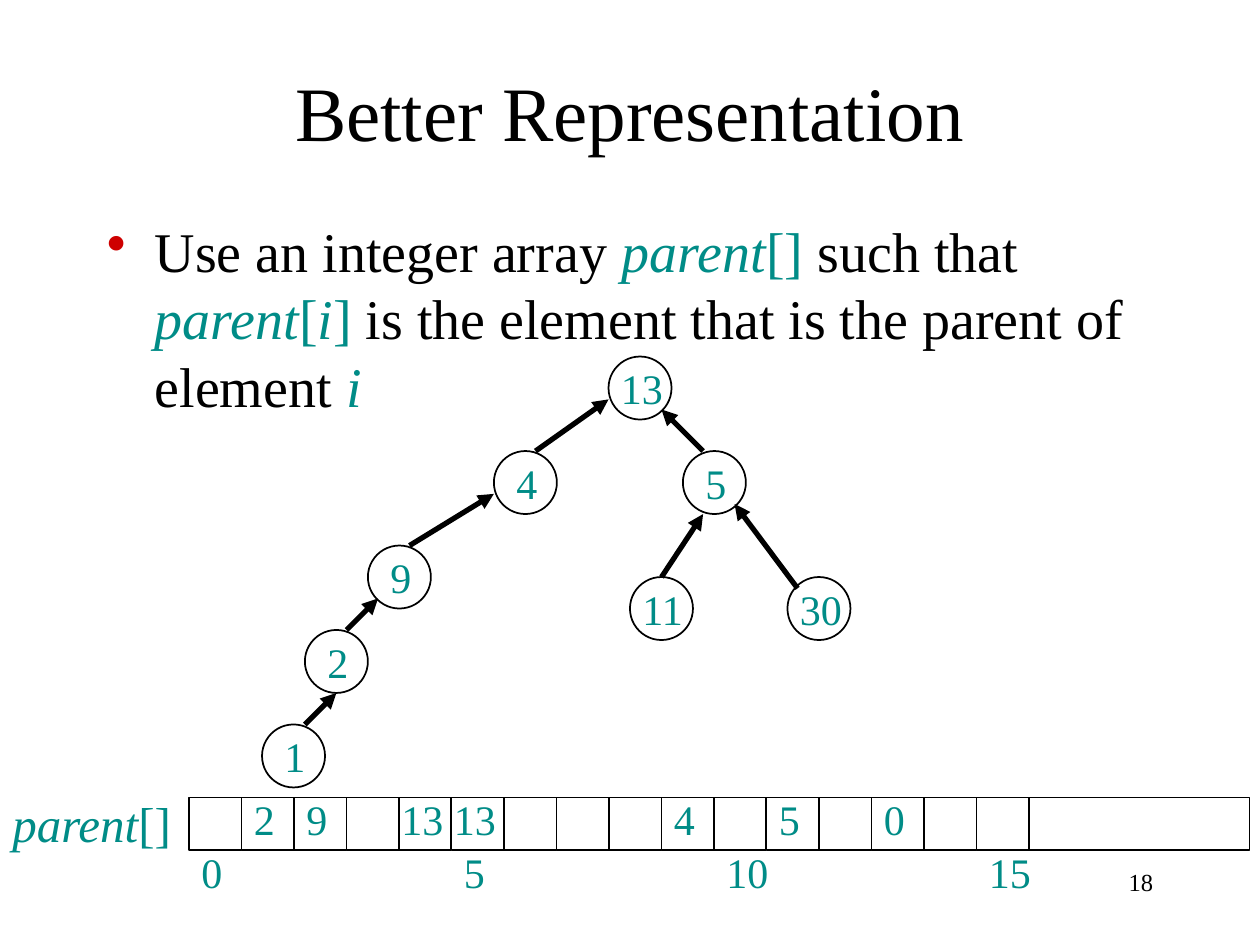
from typing import NamedTuple

from lxml.etree import SubElement
from pptx import Presentation
from pptx.dml.color import RGBColor
from pptx.enum.shapes import MSO_CONNECTOR, MSO_SHAPE
from pptx.enum.text import MSO_ANCHOR, MSO_AUTO_SIZE, PP_ALIGN
from pptx.oxml.ns import qn
from pptx.util import Inches, Pt

BLACK = RGBColor(0x00, 0x00, 0x00)
TEAL = RGBColor(0x00, 0x8C, 0x87)
BULLET_RED = RGBColor(0xCE, 0x00, 0x00)
FONT = "Times New Roman"

NODE_SIZE = 0.5
LABEL_HEIGHT = 0.5
DIGIT_SHIFT = 0.08
CELL = 5 / 12
ARRAY_LEFT, ARRAY_TOP = 1.5, 6.33
ARRAY_CELLS = 16
REST_WIDTH = 1.75


class Node(NamedTuple):
    element: str
    left: float
    top: float
    label_width: float = 0.33


class Link(NamedTuple):
    """A pointer whose arrowhead is at the parent."""
    parent: tuple[float, float]
    child: tuple[float, float]


class Run(NamedTuple):
    text: str
    color: RGBColor = TEAL
    italic: bool = False


NODES = [
    Node("4", 3.92, 3.58),
    Node("2", 2.42, 5),
    Node("9", 2.92, 4.33),
    Node("11", 5, 4.58, 0.75),
    Node("30", 6.25, 4.58, 0.83),
    Node("5", 5.42, 3.58),
    Node("13", 4.83, 2.83, 0.58),
    Node("1", 2.08, 5.75),
]
LINKS = [
    Link((4.83, 3.17), (4.25, 3.58)),
    Link((3.92, 3.92), (3.25, 4.33)),
    Link((5.25, 3.25), (5.58, 3.58)),
    Link((3, 4.75), (2.75, 5)),
    Link((5.58, 4.08), (5.25, 4.58)),
    Link((5.83, 4), (6.33, 4.67)),
    Link((2.67, 5.5), (2.42, 5.75)),
]
PARENTS = {1: "2", 2: "9", 4: "13", 5: "13", 9: "4", 11: "5", 13: "0"}
DEFINITION = [
    Run("Use an integer array ", BLACK),
    Run("parent", italic=True),
    Run("[]"),
    Run(" such that ", BLACK),
    Run("parent", italic=True),
    Run("["),
    Run("i", italic=True),
    Run("]"),
    Run(" is the element that is the parent of element ", BLACK),
    Run("i", italic=True),
]


def add_text(slide, left: float, top: float, width: float, height: float,
             runs: list[Run], size: float, align=PP_ALIGN.LEFT,
             anchor=MSO_ANCHOR.TOP, bullet: bool = False,
             grow: bool = False) -> None:
    box = slide.shapes.add_textbox(Inches(left), Inches(top), Inches(width), Inches(height))
    frame = box.text_frame
    frame.word_wrap = True
    frame.vertical_anchor = anchor
    frame.auto_size = MSO_AUTO_SIZE.SHAPE_TO_FIT_TEXT if grow else MSO_AUTO_SIZE.NONE
    paragraph = frame.paragraphs[0]
    paragraph.alignment = align
    if bullet:
        add_bullet(paragraph)
    for part in runs:
        run = paragraph.add_run()
        run.text = part.text
        run.font.name = FONT
        run.font.size = Pt(size)
        run.font.italic = part.italic
        run.font.color.rgb = part.color


def add_bullet(paragraph) -> None:
    properties = paragraph._p.get_or_add_pPr()
    properties.set("marL", str(Inches(0.38)))
    properties.set("indent", str(Inches(-0.38)))
    color = SubElement(properties, qn("a:buClr"))
    SubElement(color, qn("a:srgbClr"), val=str(BULLET_RED))
    SubElement(properties, qn("a:buChar"), char="•")


def add_number(slide, left: float, top: float, width: float, number: str) -> None:
    add_text(slide, left, top, width, LABEL_HEIGHT, [Run(number)], 24, grow=True)


def add_outline(slide, kind: MSO_SHAPE, left: float, top: float,
                width: float, height: float) -> None:
    outline = slide.shapes.add_shape(kind, Inches(left), Inches(top), Inches(width), Inches(height))
    outline.shadow.inherit = False
    outline.fill.background()
    outline.line.color.rgb = BLACK
    outline.line.width = Pt(1)


def add_node(slide, node: Node) -> None:
    add_outline(slide, MSO_SHAPE.OVAL, node.left, node.top, NODE_SIZE, NODE_SIZE)
    shift = DIGIT_SHIFT if len(node.element) == 1 else 0
    add_number(slide, node.left + shift, node.top, node.label_width, node.element)


def add_link(slide, link: Link) -> None:
    arrow = slide.shapes.add_connector(
        MSO_CONNECTOR.STRAIGHT, *map(Inches, link.parent + link.child))
    arrow.line.color.rgb = BLACK
    arrow.line.width = Pt(3)
    SubElement(arrow.line._get_or_add_ln(), qn("a:headEnd"), type="triangle")
    SubElement(arrow._element.spPr, qn("a:effectLst"))


def add_parent_array(slide) -> None:
    add_text(slide, 0, 6.25, 1.5, 0.57, [Run("parent", italic=True), Run("[]")], 28, grow=True)
    for index in range(ARRAY_CELLS):
        add_outline(slide, MSO_SHAPE.RECTANGLE, ARRAY_LEFT + index * CELL, ARRAY_TOP, CELL, CELL)
    add_outline(slide, MSO_SHAPE.RECTANGLE, ARRAY_LEFT + ARRAY_CELLS * CELL, ARRAY_TOP,
                REST_WIDTH, CELL)
    for index, parent in PARENTS.items():
        shift = DIGIT_SHIFT if len(parent) == 2 else 0
        add_number(slide, ARRAY_LEFT + index * CELL - shift, 6.25, 0.75, parent)
    for index in range(0, ARRAY_CELLS, 5):
        width = CELL if index < 10 else 0.67
        add_number(slide, ARRAY_LEFT + index * CELL, 6.67, width, str(index))


def main() -> None:
    deck = Presentation()
    deck.slide_width, deck.slide_height = Inches(10), Inches(7.5)
    slide = deck.slides.add_slide(deck.slide_layouts[6])

    add_text(slide, 0.75, 0.25, 8.5, 1.25, [Run("Better Representation", BLACK)], 44,
             align=PP_ALIGN.CENTER, anchor=MSO_ANCHOR.MIDDLE)
    add_text(slide, 0.75, 1.67, 8.5, 5, DEFINITION, 32, bullet=True)
    for node in NODES:
        add_node(slide, node)
    for link in LINKS:
        add_link(slide, link)
    add_parent_array(slide)
    add_text(slide, 7.17, 6.83, 2.08, 0.5, [Run("18", BLACK)], 14, align=PP_ALIGN.RIGHT)

    deck.save("out.pptx")


if __name__ == "__main__":
    main()
